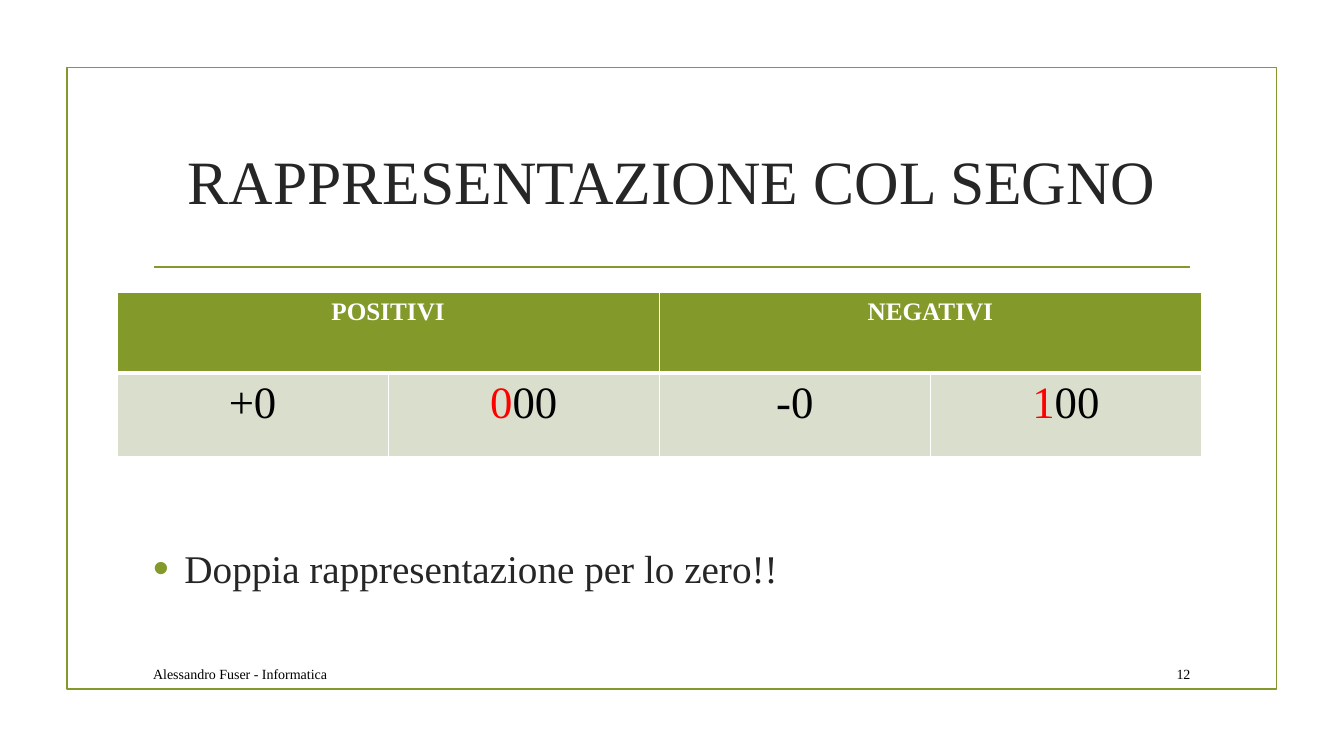
from dataclasses import dataclass

from lxml.etree import SubElement
from pptx import Presentation
from pptx.dml.color import RGBColor
from pptx.enum.shapes import MSO_CONNECTOR, MSO_SHAPE
from pptx.enum.text import MSO_ANCHOR, PP_ALIGN
from pptx.oxml import parse_xml
from pptx.oxml.ns import nsdecls, qn
from pptx.util import Cm, Pt


@dataclass(frozen=True)
class Theme:
    font: str = "Times New Roman"
    green: str = "83992A"
    pale: str = "D9DECD"
    ink: str = "262626"
    black: str = "000000"
    white: str = "FFFFFF"
    red: str = "FF0000"
    title: int = 44
    digit: int = 32
    body: int = 28
    head: int = 18
    small: int = 10
    rule: float = 1.25


theme = Theme()


def style(para, size, color, align=PP_ALIGN.LEFT, bold=False):
    para.alignment = align
    for run in para.runs:
        run.font.name = theme.font
        run.font.size = Pt(size)
        run.font.bold = bold
        run.font.color.rgb = RGBColor.from_string(color)


def add_text(left, top, width, height, text, size, color, align=PP_ALIGN.LEFT):
    """Add a wrapped one-line text box, lengths in cm, and return its paragraph."""
    box = slide.shapes.add_textbox(Cm(left), Cm(top), Cm(width), Cm(height))
    frame = box.text_frame
    frame.word_wrap = True
    frame.vertical_anchor = MSO_ANCHOR.MIDDLE
    para = frame.paragraphs[0]
    para.text = text
    style(para, size, color, align)
    return para


prs = Presentation()
prs.slide_width, prs.slide_height = Cm(33.87), Cm(19.05)
slide = prs.slides.add_slide(prs.slide_layouts[5])
green = RGBColor.from_string(theme.green)

# Frame and rule
frame = slide.shapes.add_shape(
    MSO_SHAPE.RECTANGLE, Cm(1.69), Cm(1.7), Cm(30.48), Cm(15.67))
frame.shadow.inherit = False
frame.fill.background()
rule = slide.shapes.add_connector(
    MSO_CONNECTOR.STRAIGHT, Cm(3.89), Cm(6.73), Cm(30), Cm(6.73))
SubElement(rule._element.spPr, qn("a:effectLst"))
for shape in (frame, rule):
    shape.line.color.rgb = green
    shape.line.width = Pt(theme.rule)

# Title
title = slide.shapes.title
title.left, title.top, title.width, title.height = (
    Cm(3.61), Cm(2.72), Cm(26.67), Cm(3.63))
title.text_frame.text = "RAPPRESENTAZIONE COL SEGNO"
title.text_frame.vertical_anchor = MSO_ANCHOR.MIDDLE
style(title.text_frame.paragraphs[0], theme.title, theme.ink, PP_ALIGN.CENTER)

# Table of the two zeros
heads = ["POSITIVI", "NEGATIVI"]
codes = ["+0", "000", "-0", "100"]
table = slide.shapes.add_table(
    2, 4, Cm(2.95), Cm(7.37), Cm(27.33), Cm(4.14)).table
table.rows[0].height, table.rows[1].height = Cm(2.03), Cm(2.11)

for row in range(2):
    for col in range(4):
        cell = table.cell(row, col)
        props = cell._tc.get_or_add_tcPr()
        for side in "LRTB":
            thick = (row, side) in ((0, "B"), (1, "T"))
            width = Pt(3 if thick else 1)
            props.append(parse_xml(
                f'<a:ln{side} {nsdecls("a")} w="{width}"><a:solidFill>'
                f'<a:srgbClr val="{theme.white}"/></a:solidFill></a:ln{side}>'))
        cell.fill.solid()
        cell.fill.fore_color.rgb = RGBColor.from_string(
            theme.pale if row else theme.green)

for i, head in enumerate(heads):
    cell = table.cell(0, 2 * i)
    cell.merge(table.cell(0, 2 * i + 1))
    cell.text_frame.text = head
    style(cell.text_frame.paragraphs[0], theme.head, theme.white,
          PP_ALIGN.CENTER, bold=True)

for col, code in enumerate(codes):
    para = table.cell(1, col).text_frame.paragraphs[0]
    signed = col % 2 == 1
    for part in (code[:1], code[1:]) if signed else (code,):
        para.add_run().text = part
    style(para, theme.digit, theme.black, PP_ALIGN.CENTER)
    if signed:
        para.runs[0].font.color.rgb = RGBColor.from_string(theme.red)

# Bullet
note = add_text(3.61, 13.61, 26.67, 1.4,
                "Doppia rappresentazione per lo zero!!", theme.body, theme.ink)
props = note._p.get_or_add_pPr()
props.set("marL", str(Cm(0.79)))
props.set("indent", str(Cm(-0.79)))
tint = SubElement(props, qn("a:buClr"))
SubElement(tint, qn("a:srgbClr"), val=theme.green)
SubElement(props, qn("a:buSzPct"), val="115000")
SubElement(props, qn("a:buFont"), typeface="Arial")
SubElement(props, qn("a:buChar"), char="•")

# Footer
add_text(3.61, 16.59, 20.29, 0.79, "Alessandro Fuser - Informatica",
         theme.small, theme.black)
add_text(28.75, 16.59, 1.5, 0.79, "12", theme.small, theme.black,
         PP_ALIGN.RIGHT)

prs.save("out.pptx")
